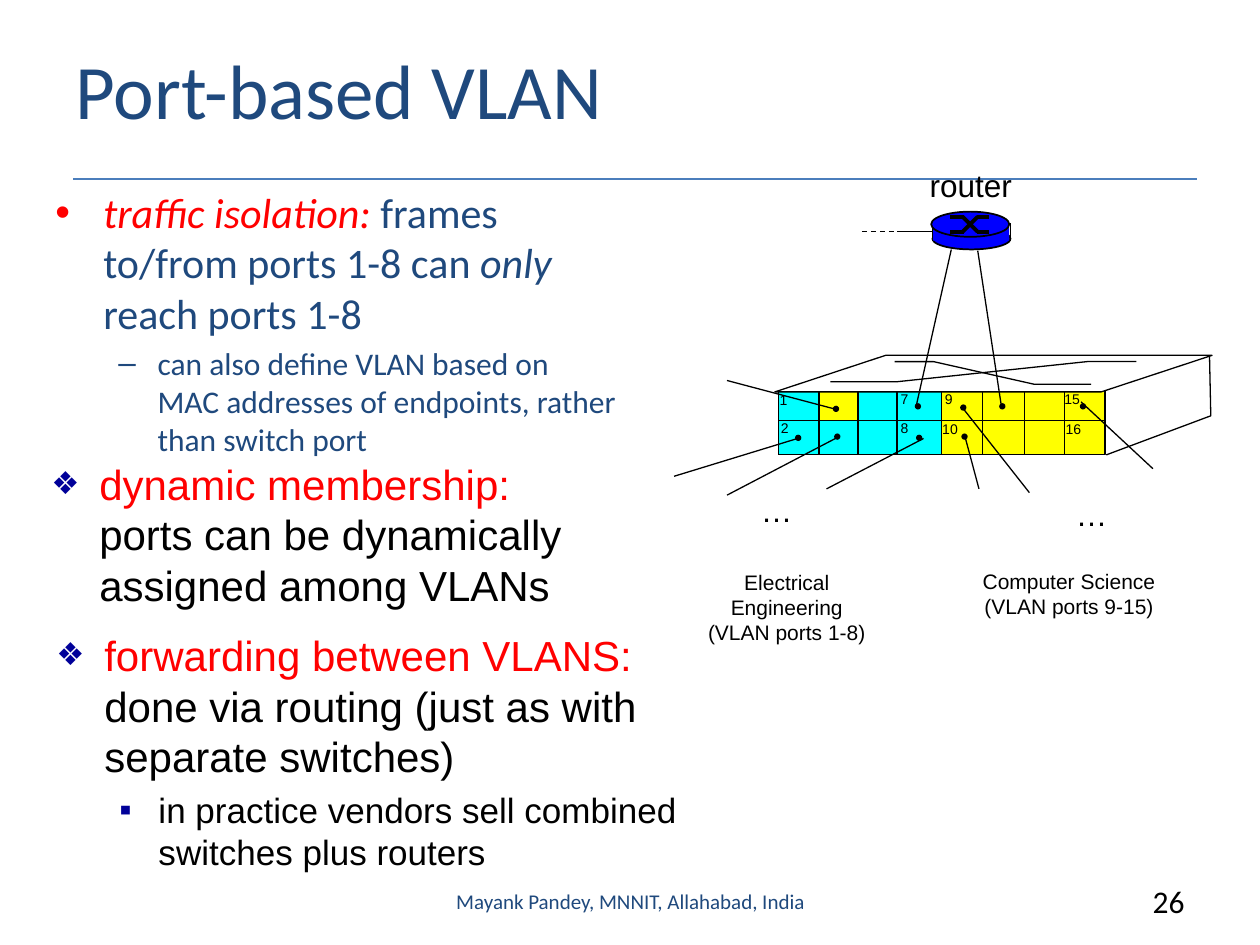
from lxml import etree
from pptx import Presentation
from pptx.dml.color import RGBColor
from pptx.enum.dml import MSO_LINE
from pptx.enum.shapes import MSO_CONNECTOR, MSO_SHAPE
from pptx.enum.text import MSO_ANCHOR, MSO_AUTO_SIZE, PP_ALIGN
from pptx.oxml.ns import qn
from pptx.util import Inches, Pt

RECT, OVAL, SLANT = MSO_SHAPE.RECTANGLE, MSO_SHAPE.OVAL, MSO_SHAPE.PARALLELOGRAM
LEFT, MID, RIGHT = PP_ALIGN.LEFT, PP_ALIGN.CENTER, PP_ALIGN.RIGHT
DASH, STRAIGHT = MSO_LINE.DASH, MSO_CONNECTOR.STRAIGHT
WIDE, HIGH = Inches(10), Inches(7.5)
COLS, ROWS = 1000, 750
HUES = {"ink": "000000", "navy": "1F497D", "red": "FF0000", "rule": "4B7EBC",
        "mark": "000099", "cyan": "00FFFF", "gold": "FFFF00", "blue": "0000FF",
        "white": "FFFFFF"}
EDGES = [618, 650, 681, 712, 747, 780, 813, 845, 877]
TOP, HALF, BASE = 311, 334, 361


def col(n):
    return round(WIDE * n / COLS)


def row(n):
    return round(HIGH * n / ROWS)


def box(at):
    x, y, w, h = at
    return col(x), row(y), col(w), row(h)


def hue(name):
    return RGBColor.from_string(HUES[name])


def paint(shape, fill, line):
    shape.shadow.inherit = False
    if fill:
        shape.fill.solid()
        shape.fill.fore_color.rgb = hue(fill)
    else:
        shape.fill.background()
    if line:
        shape.line.color.rgb = hue("ink")
        shape.line.width = Pt(line)
    else:
        shape.line.fill.background()


def block(slide, kind, at, fill=None, line=None):
    shape = slide.shapes.add_shape(kind, *box(at))
    paint(shape, fill, line)
    return shape


def wire(slide, x1, y1, x2, y2, width=0.75, color="ink", dash=None):
    link = slide.shapes.add_connector(STRAIGHT, col(x1), row(y1), col(x2), row(y2))
    link.line.color.rgb = hue(color)
    link.line.width = Pt(width)
    if dash:
        link.line.dash_style = dash
    etree.SubElement(link._element.spPr, qn("a:effectLst"))


def trace(slide, start, *points):
    pen = slide.shapes.build_freeform(col(start[0]), row(start[1]), scale=1.0)
    pen.add_line_segments([(col(x), row(y)) for x, y in points], close=False)
    paint(pen.convert_to_shape(), None, 0.75)


def dots(slide, places):
    for x, y in places:
        block(slide, OVAL, (x, y, 5, 5), "ink")


def style(font, size, face, color, slope=False):
    font.size, font.name, font.italic = Pt(size), face, slope
    font.color.rgb = hue(color)


def label(slide, at, text, size, face="Arial", color="ink", align=LEFT, wrap=False):
    frame = slide.shapes.add_textbox(*box(at)).text_frame
    frame.word_wrap = wrap
    frame.text = text
    for para in frame.paragraphs:
        para.alignment = align
        for run in para.runs:
            style(run.font, size, face, color)
    return frame


def bullet(para, char, color, share, left, hang):
    props = para._p.get_or_add_pPr()
    props.set("marL", str(col(left)))
    props.set("indent", str(-col(hang)))
    if color:
        tint = etree.SubElement(props, qn("a:buClr"))
        etree.SubElement(tint, qn("a:srgbClr")).set("val", HUES[color])
    etree.SubElement(props, qn("a:buSzPct")).set("val", str(share * 1000))
    etree.SubElement(props, qn("a:buFont")).set("typeface", "Arial")
    etree.SubElement(props, qn("a:buChar")).set("char", char)


def items(frame, face, entries):
    frame.word_wrap = True
    frame.auto_size = MSO_AUTO_SIZE.NONE
    for n, (level, size, char, color, share, parts) in enumerate(entries):
        para = frame.paragraphs[0] if n == 0 else frame.add_paragraph()
        para.level = level
        bullet(para, char, color, share, *((81, 31) if level else (38, 38)))
        para.space_before = Pt(size * 0.2 if n else 0)
        for text, tint, slope in parts:
            run = para.add_run()
            run.text = text
            style(run.font, size, face, tint, slope)


def words(slide):
    title, body = slide.placeholders
    title.left, title.top, title.width, title.height = box((50, 8, 900, 125))
    title.text_frame.text = "Port-based VLAN"
    title.text_frame.vertical_anchor = MSO_ANCHOR.MIDDLE
    head = title.text_frame.paragraphs[0]
    head.alignment = LEFT
    style(head.runs[0].font, 44, "Calibri", "navy")
    body.left, body.top, body.width, body.height = box((34, 143, 465, 193))
    items(body.text_frame, "Calibri", [
        (0, 24, "•", None, 100, [
            ("traffic isolation:", "red", True),
            (" frames to/from ports 1-8 can ", "navy", False),
            ("only", "navy", True), (" reach ports 1-8", "navy", False)]),
        (1, 18, "–", None, 100, [
            ("can also define VLAN based on MAC addresses of endpoints, "
             "rather than switch port", "navy", False)])])
    more = slide.shapes.add_textbox(*box((31, 359, 444, 176)))
    items(more.text_frame, "Arial", [
        (0, 24, "❖", "mark", 75, [
            ("dynamic membership:", "red", False),
            (" ports can be dynamically assigned among VLANs", "ink", False)])])
    last = slide.shapes.add_textbox(*box((35, 495, 547, 176)))
    items(last.text_frame, "Arial", [
        (0, 24, "❖", "mark", 75, [
            ("forwarding between VLANS:", "red", False),
            (" done via routing (just as with separate switches)", "ink", False)]),
        (1, 20, "▪", "mark", 100, [
            ("in practice vendors sell combined switches plus routers", "ink", False)])])
    foot = label(slide, (342, 695, 317, 40), "Mayank Pandey, MNNIT, Allahabad, India",
                 12, "Calibri", "navy", MID, True)
    foot.vertical_anchor = MSO_ANCHOR.MIDDLE
    label(slide, (875, 695, 75, 40), "26", 18, "Calibri", "ink", RIGHT, True)


def switch(slide):
    for first, end, top, base, fill in [
            (0, 1, TOP, BASE, "cyan"), (1, 4, TOP, BASE, "cyan"),
            (4, 7, TOP, BASE, "gold"), (7, 8, TOP, BASE, "gold"),
            (1, 2, TOP, HALF, "gold")]:
        x = EDGES[first]
        block(slide, RECT, (x, top, EDGES[end] - x, base - top), fill)
    block(slide, RECT, (618, 310, 259, 51), line=0.75)
    wire(slide, EDGES[0], HALF, EDGES[-1], HALF)
    for x in EDGES[:-1]:
        wire(slide, x, TOP, x, BASE)
    roof = block(slide, SLANT, (615, 282, 347, 29), "white", 0.75)
    roof.adjustments[0] = 3.03
    trace(slide, (878, 361), (961, 330), (960, 282))
    trace(slide, (659, 303), (712, 303), (863, 287), (902, 287))
    trace(slide, (710, 287), (741, 287), (821, 305), (866, 305))
    for x, y, w, text in [
            (609, 306, 26, "1"), (610, 328, 26, "2"), (705, 305, 26, "7"),
            (705, 328, 26, "8"), (740, 305, 26, "9"), (738, 329, 33, "10"),
            (835, 305, 33, "15"), (836, 329, 33, "16")]:
        label(slide, (x, y, w, 23), text, 8)


def hosts(slide):
    for ends in [(633, 348, 535, 378), (665, 347, 577, 393), (733, 348, 656, 388),
                 (766, 347, 777, 388), (765, 325, 817, 391), (858, 319, 915, 372),
                 (664, 325, 577, 302)]:
        wire(slide, *ends)
    dots(slide, [(631, 345), (662, 344), (727, 345), (763, 344), (762, 321),
                 (857, 320), (661, 322)])
    for x, y in [(594, 385), (844, 388)]:
        label(slide, (x, y, 45, 40), "…", 18)
    label(slide, (536, 447, 177, 50), "Electrical Engineering\n(VLAN ports 1-8)",
          12, align=MID, wrap=True)
    label(slide, (770, 446, 157, 50), "Computer Science\n(VLAN ports 9-15)",
          12, align=MID)


def router(slide):
    label(slide, (728, 127, 96, 40), "router", 18)
    block(slide, OVAL, (740, 181, 62, 17), "blue", 1)
    block(slide, RECT, (740, 180, 61, 11), "blue")
    for x in (740, 802):
        wire(slide, x, 177, x, 191, 1)
    block(slide, OVAL, (739, 168, 62, 20), "blue", 1)
    for near, far in [(172, 184), (184, 172)]:
        wire(slide, 754, near, 765, near, 2.25)
        wire(slide, 764, near, 776, far, 2.25)
        wire(slide, 775, far, 785, far, 2.25)
    dots(slide, [(726, 320), (793, 320)])
    wire(slide, 727, 323, 755, 198)
    wire(slide, 795, 324, 776, 199)
    wire(slide, 712, 184, 740, 184)
    wire(slide, 684, 184, 711, 184, dash=DASH)


def main():
    deck = Presentation()
    deck.slide_width, deck.slide_height = WIDE, HIGH
    slide = deck.slides.add_slide(deck.slide_layouts[1])
    wire(slide, 58, 142, 950, 142, color="rule")
    words(slide)
    switch(slide)
    hosts(slide)
    router(slide)
    deck.save("out.pptx")


if __name__ == "__main__":
    main()
